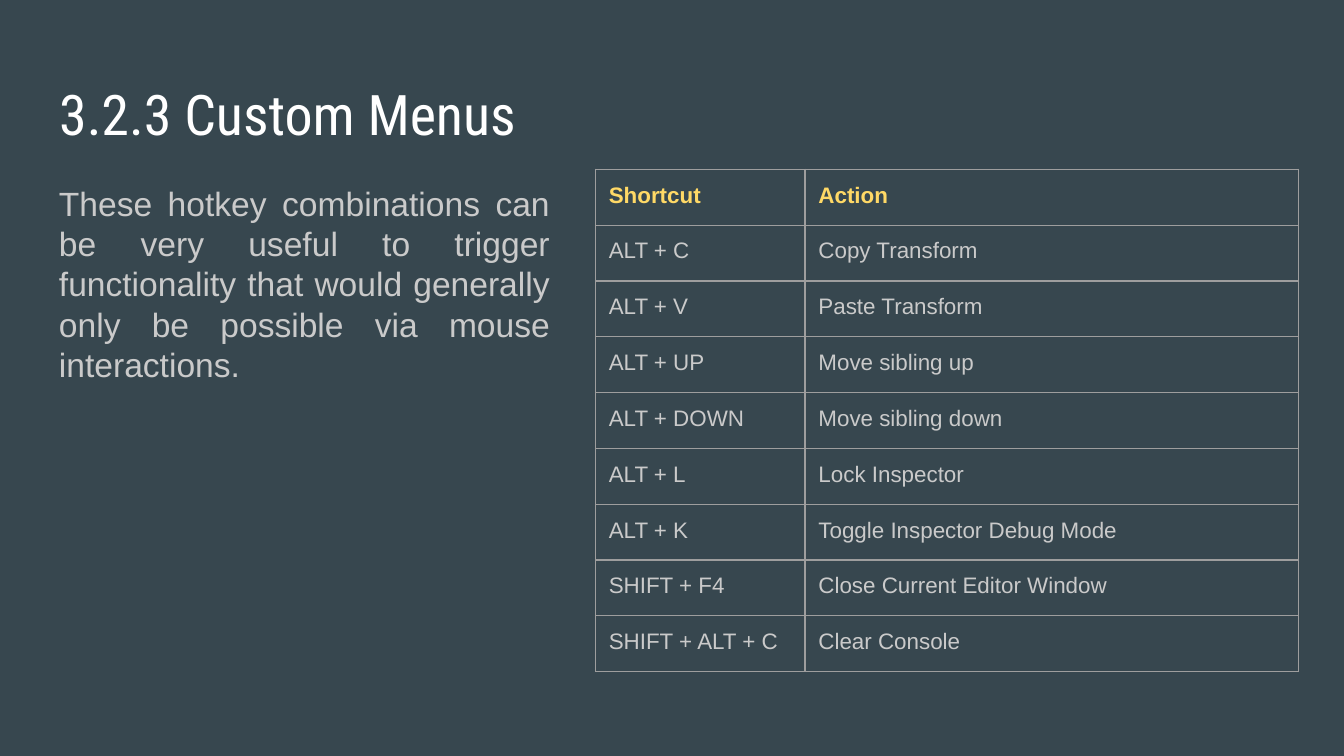
"""Build the Custom Menus slide with its table of keyboard shortcuts."""
from lxml import etree
from pptx import Presentation
from pptx.dml.color import RGBColor
from pptx.enum.text import MSO_ANCHOR, PP_ALIGN
from pptx.oxml.ns import qn
from pptx.util import Inches, Pt

TOP = MSO_ANCHOR.TOP
LEFT, JUSTIFY = PP_ALIGN.LEFT, PP_ALIGN.JUSTIFY

TITLE = "3.2.3 Custom Menus"
BODY = ("These hotkey combinations can be very useful to trigger functionality "
        "that would generally only be possible via mouse interactions.")
SHORTCUTS = [
    ("Shortcut", "Action"),
    ("ALT + C", "Copy Transform"),
    ("ALT + V", "Paste Transform"),
    ("ALT + UP", "Move sibling up"),
    ("ALT + DOWN", "Move sibling down"),
    ("ALT + L", "Lock Inspector"),
    ("ALT + K", "Toggle Inspector Debug Mode"),
    ("SHIFT + F4", "Close Current Editor Window"),
    ("SHIFT + ALT + C", "Clear Console"),
]
BACKGROUND, WHITE, GREY, YELLOW, BORDER = "37474F", "FFFFFF", "CACACA", "FFD966", "9E9E9E"
SLIDE_WIDTH = 10
SLIDE_HEIGHT = SLIDE_WIDTH * 9 / 16
MARGIN, CONTENT_TOP, CONTENT_HEIGHT = 0.34, 1.26, 3.74
TABLE_LEFT, COLUMN_WIDTHS = 4.43, (1.56, 3.67)
INSET = Inches(0.1)


def rgb(value):
    return RGBColor.from_string(value)


def set_insets(target):
    target.margin_left = target.margin_right = INSET
    target.margin_top = target.margin_bottom = INSET
    target.vertical_anchor = TOP


def write(frame, text, size, font, color, bold=False, align=LEFT):
    frame.text = text
    frame.word_wrap = True
    para = frame.paragraphs[0]
    para.alignment = align
    span = para.runs[0].font
    span.size, span.name, span.bold = Pt(size), font, bold
    span.color.rgb = rgb(color)


def set_borders(cell):
    properties = cell._tc.get_or_add_tcPr()
    for index, side in enumerate(("a:lnL", "a:lnR", "a:lnT", "a:lnB")):
        line = etree.Element(qn(side), w=str(Pt(0.75)))
        fill = etree.SubElement(line, qn("a:solidFill"))
        etree.SubElement(fill, qn("a:srgbClr"), val=BORDER)
        properties.insert(index, line)


def add_title(page):
    title = page.shapes.title
    title.left, title.top = Inches(MARGIN), Inches(0.49)
    title.width, title.height = Inches(9.32), Inches(0.63)
    write(title.text_frame, TITLE, 30, "Roboto Condensed", WHITE)
    set_insets(title.text_frame)


def add_body(page):
    box = page.shapes.add_textbox(Inches(MARGIN), Inches(CONTENT_TOP),
                                  Inches(3.85), Inches(CONTENT_HEIGHT))
    write(box.text_frame, BODY, 18, "Arial", GREY, align=JUSTIFY)
    set_insets(box.text_frame)


def add_shortcuts(page):
    table = page.shapes.add_table(
        len(SHORTCUTS), len(COLUMN_WIDTHS), Inches(TABLE_LEFT), Inches(CONTENT_TOP),
        Inches(sum(COLUMN_WIDTHS)), Inches(CONTENT_HEIGHT)).table
    table.horz_banding = False
    for column, width in zip(table.columns, COLUMN_WIDTHS):
        column.width = Inches(width)
    for row_index, texts in enumerate(SHORTCUTS):
        header = row_index == 0
        for column_index, text in enumerate(texts):
            cell = table.cell(row_index, column_index)
            write(cell.text_frame, text, 12, "Arial", YELLOW if header else GREY, header)
            set_insets(cell)
            cell.fill.background()
            set_borders(cell)


def main():
    deck = Presentation()
    deck.slide_width, deck.slide_height = Inches(SLIDE_WIDTH), Inches(SLIDE_HEIGHT)
    page = deck.slides.add_slide(deck.slide_layouts.get_by_name("Title Only"))
    page.background.fill.solid()
    page.background.fill.fore_color.rgb = rgb(BACKGROUND)
    add_title(page)
    add_shortcuts(page)
    add_body(page)
    deck.save("out.pptx")


if __name__ == "__main__":
    main()
